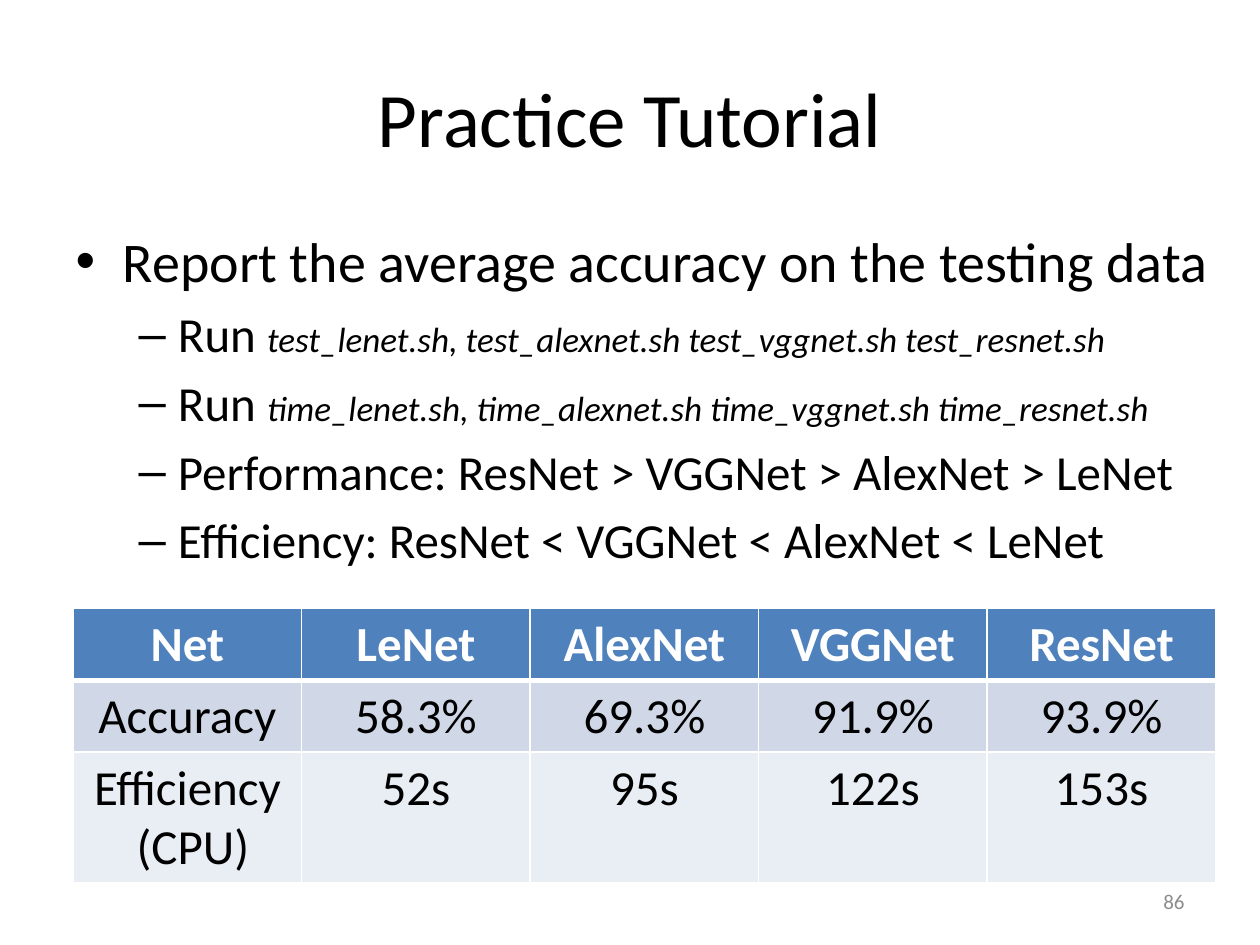
"""Build the Practice Tutorial slide with its bullet list and results table."""
import pptx
import pptx.chart.data
import pptx.dml.color
import pptx.enum.text
import pptx.oxml
import pptx.oxml.ns
import pptx.util

Inches = pptx.util.Inches
ALIGN = pptx.enum.text.PP_ALIGN
MIDDLE = pptx.enum.text.MSO_ANCHOR.MIDDLE
FONT = "Calibri"
COLORS = {
    "text": "000000", "number": "8C8C8C", "header": "4F81BD",
    "header_text": "FFFFFF", "border": "FFFFFF", "bands": ("D0D8E8", "E9EDF4"),
}
TITLE = "Practice Tutorial"
PAGE_NUMBER = "86"
BULLETS = [
    (0, "Report the average accuracy on the testing data", ""),
    (1, "Run ", "test_lenet.sh, test_alexnet.sh test_vggnet.sh test_resnet.sh"),
    (1, "Run ", "time_lenet.sh, time_alexnet.sh time_vggnet.sh time_resnet.sh"),
    (1, "Performance: ResNet > VGGNet > AlexNet > LeNet", ""),
    (1, "Efficiency: ResNet < VGGNet < AlexNet < LeNet", ""),
]
BULLET_SIZES = (32, 28)
SCRIPT_SIZE = 20
RESULTS = [
    ("Net", "LeNet", "AlexNet", "VGGNet", "ResNet"),
    ("Accuracy", "58.3%", "69.3%", "91.9%", "93.9%"),
    ("Efficiency\n (CPU)", "52s", "95s", "122s", "153s"),
]
TABLE_LEFT, TABLE_TOP, TABLE_WIDTH = 0.58, 4.83, 9.07
ROW_HEIGHTS = (0.57, 0.57, 1.03)


def rgb(value):
    return pptx.dml.color.RGBColor.from_string(value)


def style(span, size, color, bold=False, italic=False):
    span.font.name = FONT
    span.font.size = pptx.util.Pt(size)
    span.font.color.rgb = rgb(color)
    span.font.bold = bold
    span.font.italic = italic


def place(shape, left, top, width, height):
    shape.left, shape.top = Inches(left), Inches(top)
    shape.width, shape.height = Inches(width), Inches(height)


def add_title(page):
    title = page.shapes.title
    place(title, 0.5, 0.3, 9, 1.25)
    title.text_frame.text = TITLE
    title.text_frame.vertical_anchor = MIDDLE
    para = title.text_frame.paragraphs[0]
    para.alignment = ALIGN.CENTER
    style(para.runs[0], 44, COLORS["text"])


def add_bullets(page):
    body = page.placeholders[1]
    place(body, 0.5, 1.75, 9.58, 4.95)
    frame = body.text_frame
    frame.text = "\n".join(lead for level, lead, scripts in BULLETS)
    for para, (level, lead, scripts) in zip(frame.paragraphs, BULLETS):
        para.level = level
        style(para.runs[0], BULLET_SIZES[level], COLORS["text"])
        if scripts:
            span = para.add_run()
            span.text = scripts
            style(span, SCRIPT_SIZE, COLORS["text"], italic=True)


def add_page_number(page):
    box = page.shapes.add_textbox(Inches(7.17), Inches(6.95), Inches(2.33), Inches(0.4))
    frame = box.text_frame
    frame.word_wrap = True
    frame.vertical_anchor = MIDDLE
    frame.text = PAGE_NUMBER
    frame.paragraphs[0].alignment = ALIGN.RIGHT
    style(frame.paragraphs[0].runs[0], 12, COLORS["number"])


def set_borders(cell, top, bottom):
    properties = cell._tc.get_or_add_tcPr()
    for side, points in (("L", 1), ("R", 1), ("T", top), ("B", bottom)):
        properties.append(pptx.oxml.parse_xml(
            f'<a:ln{side} {pptx.oxml.ns.nsdecls("a")} w="{pptx.util.Pt(points)}">'
            f'<a:solidFill><a:srgbClr val="{COLORS["border"]}"/></a:solidFill></a:ln{side}>'
        ))


def add_results(page):
    table = page.shapes.add_table(
        len(RESULTS), len(RESULTS[0]), Inches(TABLE_LEFT), Inches(TABLE_TOP),
        Inches(TABLE_WIDTH), Inches(sum(ROW_HEIGHTS)),
    ).table
    for index, values in enumerate(RESULTS):
        table.rows[index].height = Inches(ROW_HEIGHTS[index])
        header = index == 0
        fill = COLORS["header"] if header else COLORS["bands"][index - 1]
        color = COLORS["header_text"] if header else COLORS["text"]
        for column, value in enumerate(values):
            cell = table.cell(index, column)
            set_borders(cell, 3 if index == 1 else 1, 3 if header else 1)
            cell.fill.solid()
            cell.fill.fore_color.rgb = rgb(fill)
            cell.text_frame.text = value
            for para in cell.text_frame.paragraphs:
                para.alignment = ALIGN.CENTER
                style(para.runs[0], 28, color, bold=header)


def main():
    deck = pptx.Presentation()
    deck.slide_width, deck.slide_height = Inches(10), Inches(7.5)
    page = deck.slides.add_slide(deck.slide_layouts[1])
    add_title(page)
    add_bullets(page)
    add_page_number(page)
    add_results(page)
    deck.save("out.pptx")


if __name__ == "__main__":
    main()
